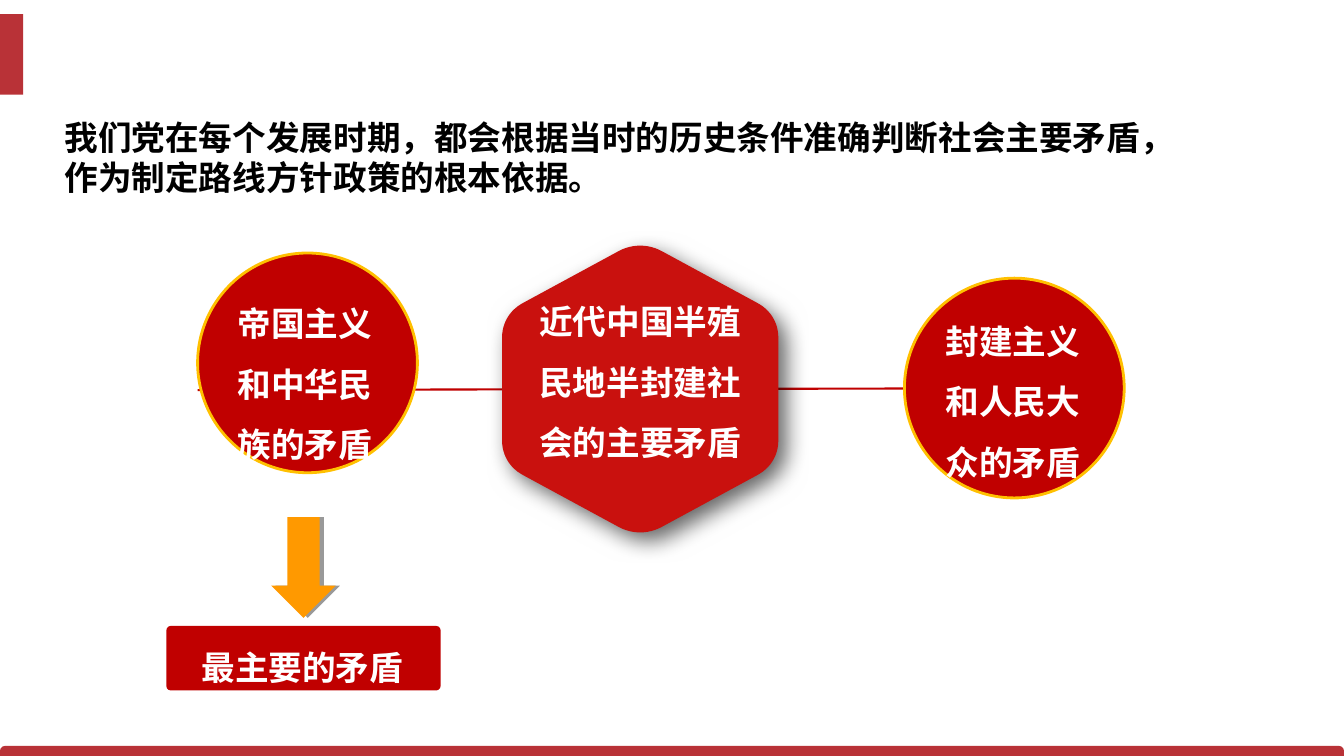
from dataclasses import dataclass

from lxml import etree
from pptx import Presentation
from pptx.dml.color import RGBColor
from pptx.enum.shapes import MSO_CONNECTOR, MSO_SHAPE
from pptx.enum.text import MSO_ANCHOR, MSO_AUTO_SIZE, PP_ALIGN
from pptx.oxml.ns import qn
from pptx.util import Inches, Pt

RECT = MSO_SHAPE.RECTANGLE
ROUND = MSO_SHAPE.ROUNDED_RECTANGLE
BAR = MSO_SHAPE.ROUND_2_SAME_RECTANGLE
OVAL = MSO_SHAPE.OVAL
ARROW = MSO_SHAPE.DOWN_ARROW
STRAIGHT = MSO_CONNECTOR.STRAIGHT
LEFT, CENTER = PP_ALIGN.LEFT, PP_ALIGN.CENTER
TOP = MSO_ANCHOR.TOP
GROW = MSO_AUTO_SIZE.SHAPE_TO_FIT_TEXT

WHITE = RGBColor(0xFF, 0xFF, 0xFF)
BLACK = RGBColor(0, 0, 0)
BRICK = RGBColor(0xB9, 0x32, 0x37)
RED = RGBColor(0xC0, 0, 0)
SCARLET = RGBColor(0xC9, 0x11, 0x0E)
GOLD = RGBColor(0xFF, 0xC0, 0)
ORANGE = RGBColor(0xFF, 0x99, 0)

LATIN, HAN = "Arial", "Noto Sans CJK SC"
DISC = 2.18
STEPS = 12

Point = tuple[float, float]
Box = tuple[float, float, float, float]


@dataclass
class Block:
    kind: MSO_SHAPE
    box: Box
    fill: RGBColor
    line: RGBColor | None = None
    adjust: tuple[float, ...] = ()


@dataclass
class Conflict:
    text: str
    disc: Point
    box: Box


FRAME = [
    Block(RECT, (0, 0.14, 0.23, 0.8), BRICK),
    Block(BAR, (0, 7.4, 13.33, 0.1), BRICK, adjust=(0.5, 0)),
]
CONFLICTS = [
    Conflict("帝国主义和中华民族的矛盾", (1.96, 2.51), (2.26, 2.76, 1.58, 1.92)),
    Conflict("封建主义和人民大众的矛盾", (8.97, 2.76), (9.28, 2.93, 1.56, 1.92)),
]
# Bezier points of two hexagon corners, measured from its centre
HEX_MID = (6.35, 3.86)
PEAK = [(-0.21, -1.37), (-0.08, -1.44), (0.08, -1.44), (0.21, -1.37)]
SIDE = [(1.15, -0.86), (1.29, -0.79), (1.37, -0.66), (1.37, -0.51)]


def paint(shape, fill: RGBColor, line: RGBColor | None = None) -> None:
    shape.shadow.inherit = False
    shape.fill.solid()
    shape.fill.fore_color.rgb = fill
    if line is None:
        shape.line.fill.background()
    else:
        shape.line.color.rgb = line
        shape.line.width = Pt(2)


def draw(slide, block: Block):
    shape = slide.shapes.add_shape(block.kind, *map(Inches, block.box))
    for i, value in enumerate(block.adjust):
        shape.adjustments[i] = value
    paint(shape, block.fill, block.line)
    return shape


def cast(shape, alpha: int, blur: float, dist: float, angle: int) -> None:
    """Give a painted shape an outer black shadow."""
    effects = shape._element.spPr.find(qn("a:effectLst"))
    shadow = etree.SubElement(
        effects, qn("a:outerShdw"), blurRad=str(Pt(blur)), dist=str(Pt(dist)),
        dir=str(angle * 60000), algn="tl", rotWithShape="0")
    color = etree.SubElement(shadow, qn("a:srgbClr"), val="000000")
    etree.SubElement(color, qn("a:alpha"), val=str(alpha * 1000))


def write(shape, text: str, box: Box, *, color: RGBColor = WHITE,
          font: str = LATIN, align: PP_ALIGN = LEFT, pitch: float = 1,
          wrap: bool = True) -> None:
    shape.left, shape.top, shape.width, shape.height = map(Inches, box)
    frame = shape.text_frame
    frame.word_wrap = wrap
    frame.auto_size = GROW
    frame.vertical_anchor = TOP
    para = frame.paragraphs[0]
    para.alignment = align
    para.line_spacing = pitch
    para.space_before = Pt(0)
    run = para.add_run()
    run.text = text
    run.font.name = font
    run.font.size = Pt(24)
    run.font.bold = True
    run.font.color.rgb = color
    etree.SubElement(run.font._element, qn("a:ea"), typeface=HAN)


def label(slide, text: str, box: Box, **style) -> None:
    write(slide.shapes.add_textbox(*map(Inches, box)), text, box, **style)


def curve(a: Point, b: Point, c: Point, d: Point) -> list[Point]:
    """Sample a cubic Bezier curve."""
    points = []
    for i in range(STEPS + 1):
        t = i / STEPS
        u = 1 - t
        points.append(tuple(
            u**3 * p + 3 * u * u * t * q + 3 * u * t * t * r + t**3 * s
            for p, q, r, s in zip(a, b, c, d)))
    return points


def hexagon(slide):
    low = [(x, -y) for x, y in reversed(SIDE)]
    half = [p for corner in (PEAK, SIDE, low) for p in curve(*corner)]
    ring = half + [(-x, -y) for x, y in half]
    points = [(Inches(HEX_MID[0] + x), Inches(HEX_MID[1] + y)) for x, y in ring]
    pen = slide.shapes.build_freeform(*points[0])
    pen.add_line_segments(points[1:], close=True)
    shape = pen.convert_to_shape()
    paint(shape, SCARLET)
    return shape


def main() -> None:
    deck = Presentation()
    deck.slide_width, deck.slide_height = Inches(13.33), Inches(7.5)
    slide = deck.slides.add_slide(deck.slide_layouts[5])
    write(slide.shapes.title,
          "我们党在每个发展时期，都会根据当时的历史条件准确判断社会主要矛盾，"
          "作为制定路线方针政策的根本依据。",
          (0.54, 1.11, 11.25, 0.91), color=BLACK, font=HAN)

    for block in FRAME:
        draw(slide, block)
    link = slide.shapes.add_connector(
        STRAIGHT, *map(Inches, (1.96, 3.87, 10.9, 3.85)))
    link.line.color.rgb = RED
    link.line.width = Pt(1.5)
    etree.SubElement(link._element.spPr, qn("a:effectLst"))

    for item in CONFLICTS:
        draw(slide, Block(OVAL, (*item.disc, DISC, DISC), RED, GOLD))
        label(slide, item.text, item.box, pitch=1.5)

    cast(hexagon(slide), 60, 16, 8, 45)
    label(slide, "近代中国半殖民地半封建社会的主要矛盾",
          (5.17, 2.74, 2.36, 1.92), align=CENTER, pitch=1.5)

    arrow = draw(slide, Block(ARROW, (2.69, 5.13, 0.64, 1), ORANGE))
    cast(arrow, 40, 0, 3, 0)
    draw(slide, Block(ROUND, (1.65, 6.21, 2.72, 0.64), RED, adjust=(0.07,)))
    label(slide, "最主要的矛盾", (1.9, 6.37, 2.2, 0.5), wrap=False)
    deck.save("out.pptx")


if __name__ == "__main__":
    main()
